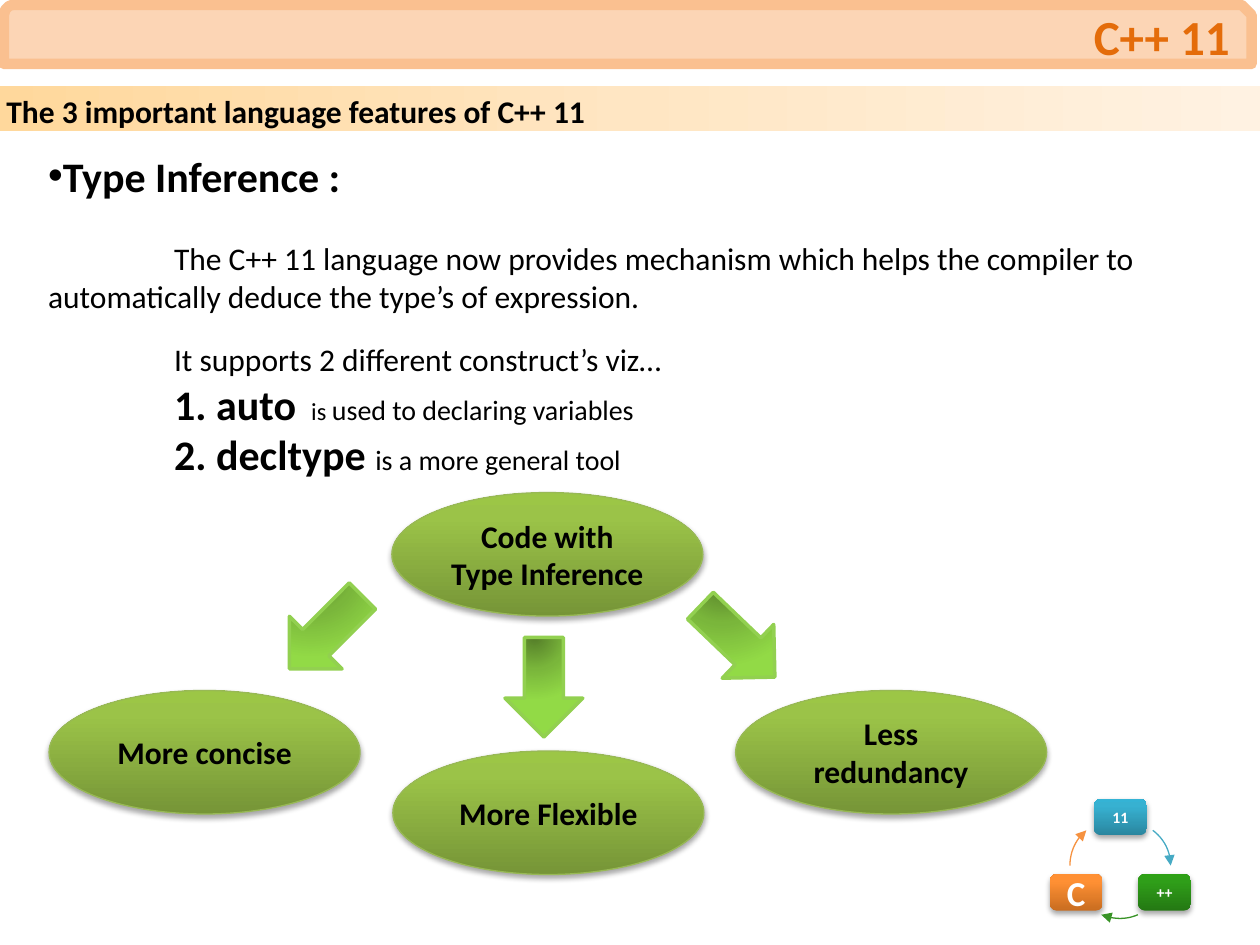
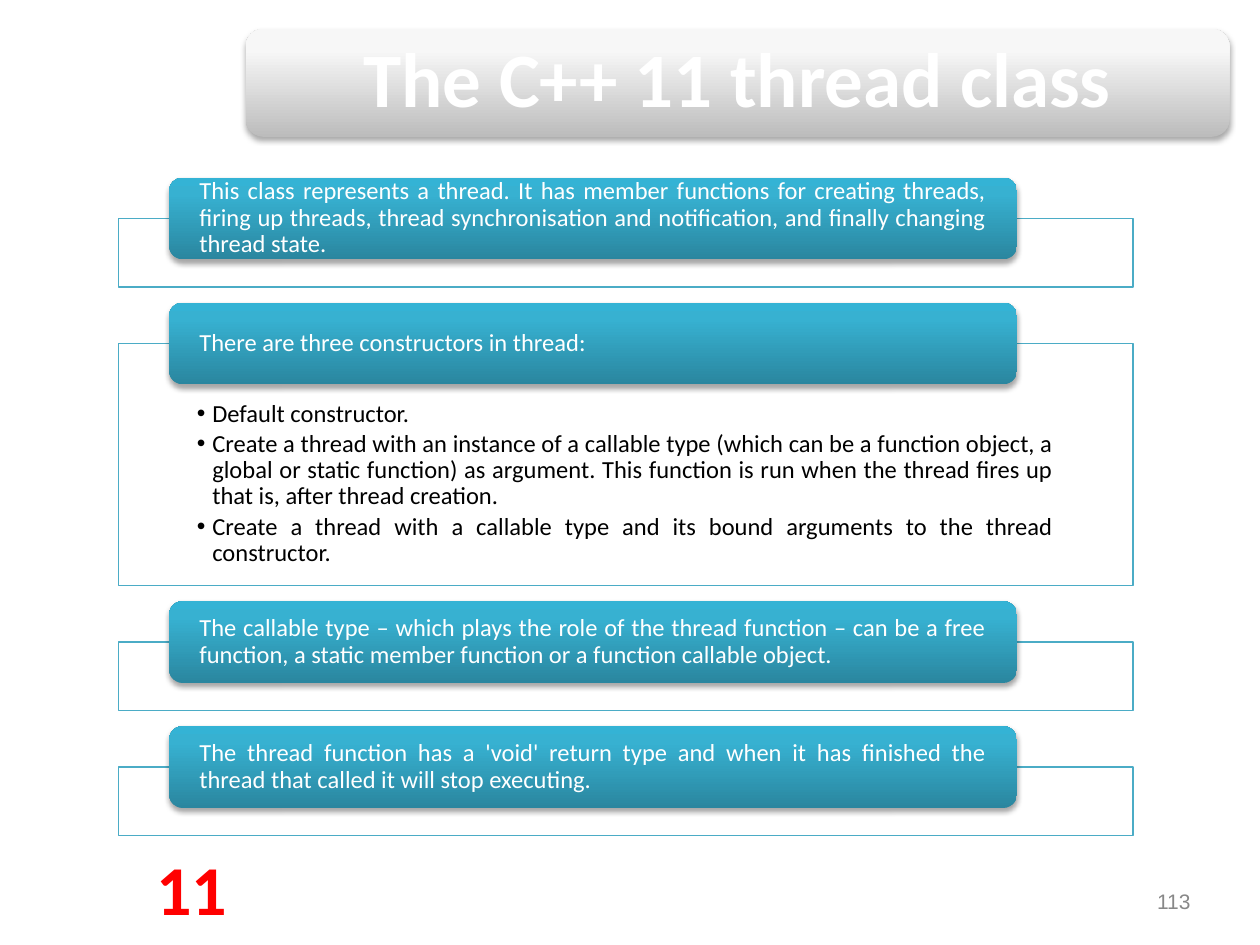
from typing import NamedTuple

from pptx import Presentation
from pptx.dml.color import RGBColor
from pptx.enum.shapes import MSO_SHAPE
from pptx.enum.text import MSO_ANCHOR, MSO_AUTO_SIZE, PP_ALIGN
from pptx.oxml import parse_xml
from pptx.oxml.ns import nsdecls, qn
from pptx.util import Cm, Pt

COLOURS = {
    "black": "000000", "white": "FFFFFF", "red": "FF0000", "grey": "888888",
    "title": "E46C0A", "band": "FCD5B5", "band_edge": "FAC090",
    "ellipse_edge": "98B955", "arrow_edge": "92D050", "frame_edge": "4BACC6",
    "teal_arc": "46AAC4", "green_arc": "389326", "orange_arc": "F69240",
}
GRADIENTS = {
    "strip": ("FFD89C", "FFE6C3", "FFF2E2"),
    "olive": ("769537", "9BC348", "9CC646"),
    "arrow": ("557E29", "7AB63B", "92DA46"),
    "teal": ("2A869F", "37B1D1", "34B3D5"),
    "green": ("247813", "2F9E19", "2EA116"),
    "orange": ("C96D20", "FF9034", "FF9035"),
    "silver": ("BCBCBC", "F7F7F7", "F8F8F8"),
}
RISING = '<a:lin ang="16200000" scaled="0"/>'
SIDEWAYS = '<a:lin ang="0" scaled="0"/>'
RADIAL = ('<a:path path="circle"><a:fillToRect l="38000" t="-20000" '
          'r="62000" b="120000"/></a:path>')
INSET = 0.13


class Box(NamedTuple):
    """Left, top, width and height in centimetres."""
    left: float
    top: float
    width: float
    height: float

    def inner(self, left, top, width, height):
        return Box(self.left + left, self.top + top, width, height)

    def lengths(self):
        return [Cm(value) for value in self]


# Shared helpers
def colour(name):
    return RGBColor.from_string(COLOURS[name])


def set_gradient(shape, name, direction=RISING, middle=80):
    stops = "".join(
        f'<a:gs pos="{position * 1000}"><a:srgbClr val="{value}"/></a:gs>'
        for position, value in zip((0, middle, 100), GRADIENTS[name]))
    shape.fill.solid()
    properties = shape._element.spPr
    properties.replace(properties.find(qn("a:solidFill")), parse_xml(
        f'<a:gradFill rotWithShape="1" {nsdecls("a")}>'
        f'<a:gsLst>{stops}</a:gsLst>{direction}</a:gradFill>'))


def set_line(shape, name=None, width=0.75):
    if name is None:
        shape.line.fill.background()
    else:
        shape.line.color.rgb = colour(name)
        shape.line.width = Pt(width)


def add_shadow(shape):
    shape._element.spPr.find(qn("a:effectLst")).append(parse_xml(
        f'<a:outerShdw {nsdecls("a")} blurRad="40000" dist="23000" '
        'dir="5400000" rotWithShape="0"><a:srgbClr val="000000">'
        '<a:alpha val="35000"/></a:srgbClr></a:outerShdw>'))


def add_preset(page, kind, box, edge=None, width=0.75):
    shape = page.shapes.add_shape(kind, *box.lengths())
    shape.shadow.inherit = False
    set_line(shape, edge, width)
    return shape


def add_glossy(page, kind, box, gradient, edge=None):
    shape = add_preset(page, kind, box, edge)
    set_gradient(shape, gradient)
    add_shadow(shape)
    return shape


def prepare_frame(shape, anchor, side=INSET, end=INSET):
    frame = shape.text_frame
    frame.word_wrap = True
    frame.auto_size = MSO_AUTO_SIZE.NONE
    frame.vertical_anchor = anchor
    frame.margin_left = frame.margin_right = Cm(side)
    frame.margin_top = frame.margin_bottom = Cm(end)
    return frame


def format_font(font, size, name="black", bold=False, face="Calibri"):
    font.size = Pt(size)
    font.bold = bold
    font.name = face
    font.color.rgb = colour(name)


def write(shape, text, size, name="black", bold=False, align=PP_ALIGN.CENTER,
          anchor=MSO_ANCHOR.MIDDLE, side=INSET, end=INSET, spacing=1.0,
          face="Calibri"):
    frame = prepare_frame(shape, anchor, side, end)
    frame.text = text
    para = frame.paragraphs[0]
    para.alignment = align
    para.line_spacing = spacing
    para.space_before = Pt(0)
    format_font(para.runs[0].font, size, name, bold, face)


def set_indent(para, margin=0, first=0, bullet=None):
    properties = para._p.get_or_add_pPr()
    properties.set("marL", str(Cm(margin)))
    properties.set("indent", str(Cm(first)))
    mark = f'buChar {nsdecls("a")} char="{bullet}"' if bullet else f'buNone {nsdecls("a")}'
    properties.append(parse_xml(f"<a:{mark}/>"))


def place(placeholder, box):
    """Move a placeholder into its box and in front of the shapes so far."""
    placeholder.left, placeholder.top, placeholder.width, placeholder.height = box.lengths()
    element = placeholder._element
    element.getparent().append(element)
    return placeholder


def add_label(page, box, text, size, name, **style):
    write(page.shapes.add_textbox(*box.lengths()), text, size, name, **style)


# Type inference slide
def add_heading(page, box):
    strip = add_preset(page, MSO_SHAPE.RECTANGLE, box.inner(0, 1.73, box.width, 0.91))
    set_gradient(strip, "strip", SIDEWAYS, 50)
    write(strip, "The 3 important language features of C++ 11", 18, bold=True,
          align=PP_ALIGN.LEFT, anchor=MSO_ANCHOR.TOP)
    band = add_preset(page, MSO_SHAPE.SNIP_ROUND_RECTANGLE,
                      box.inner(0.08, 0.1, 25.15, 1.19), "band_edge", 6)
    band.fill.solid()
    band.fill.fore_color.rgb = colour("band")
    title = place(page.shapes.title, box.inner(0.38, 0.1, 24.54, 1.24))
    write(title, "C++ 11", 28, "title", True, PP_ALIGN.RIGHT)


def add_explanation(page, box):
    # Each paragraph: space before, then (text, size, bold) spans
    paragraphs = [
        (0, [("Type Inference :", 24, True)]),
        (22, [("The C++ 11 language now provides mechanism which helps the compiler "
               "to automatically deduce the type’s of expression.", 18, False)]),
        (14.6, [("It supports 2 different construct’s viz…", 18, False)]),
        (0, [("1. auto ", 24, True), (" is ", 14, False),
             ("used to declaring variables", 16, False)]),
        (0, [("2. decltype ", 24, True), ("is a more general tool", 16, False)]),
    ]
    frame = prepare_frame(place(page.placeholders[1], box), MSO_ANCHOR.TOP)
    for index, (before, spans) in enumerate(paragraphs):
        para = frame.add_paragraph() if index else frame.paragraphs[0]
        if index:
            set_indent(para, first=2.54)
        else:
            set_indent(para, bullet="•")
        para.space_before = Pt(before)
        for text, size, bold in spans:
            span = para.add_run()
            span.text = text
            format_font(span.font, size, bold=bold)


def add_benefits(page, box):
    ellipses = [("Code with Type Inference", 6.91, 0), ("More concise", 0, 3.99),
                ("More Flexible", 6.93, 5.21), ("Less redundancy", 13.84, 3.99)]
    for text, left, top in ellipses:
        ellipse = add_glossy(page, MSO_SHAPE.OVAL, box.inner(left, top, 6.27, 2.49),
                             "olive", "ellipse_edge")
        write(ellipse, text, 18, bold=True, side=0.25, end=0)
    arrows = [(4.83, 1.78, 1.5, 2.08, 45), (9.19, 2.92, 1.57, 2.01, 0),
              (13.13, 1.96, 1.5, 2.08, 313.8)]
    for left, top, width, height, angle in arrows:
        arrow = add_preset(page, MSO_SHAPE.DOWN_ARROW,
                           box.inner(left, top, width, height), "arrow_edge", 2)
        set_gradient(arrow, "arrow", RADIAL, 50)
        arrow.rotation = angle


def curve_points(box, controls, steps=12):
    for step in range(steps + 1):
        t = step / steps
        weights = ((1 - t) ** 3, 3 * t * (1 - t) ** 2, 3 * t * t * (1 - t), t ** 3)
        x, y = (sum(w * c for w, c in zip(weights, axis)) for axis in zip(*controls))
        yield Cm(box.left + x), Cm(box.top + y)


def add_cycle(page, box):
    nodes = [("11", 9, "teal", 0.89, 0), ("++", 9, "green", 1.78, 1.52),
             ("C", 20, "orange", 0, 1.52)]
    for text, size, gradient, left, top in nodes:
        node = add_glossy(page, MSO_SHAPE.ROUNDED_RECTANGLE,
                          box.inner(left, top, 1.07, 0.74), gradient)
        node.adjustments[0] = 0.2
        write(node, text, size, "white", True, side=0, end=0)
    arcs = [("teal_arc", [(2.08, 0.64), (2.31, 0.81), (2.44, 1.07), (2.44, 1.35)]),
            ("green_arc", [(1.78, 2.34), (1.55, 2.44), (1.3, 2.44), (1.04, 2.34)]),
            ("orange_arc", [(0.41, 1.35), (0.41, 1.07), (0.53, 0.81), (0.74, 0.64)])]
    for name, controls in arcs:
        start, *points = curve_points(box, controls)
        builder = page.shapes.build_freeform(*start)
        builder.add_line_segments(points, close=False)
        arc = builder.convert_to_shape()
        arc.shadow.inherit = False
        arc.fill.background()
        set_line(arc, name)
        arc.line._get_or_add_ln().append(
            parse_xml(f'<a:tailEnd {nsdecls("a")} type="triangle"/>'))


# Thread class slide
def add_thread_title(page, box):
    add_glossy(page, MSO_SHAPE.ROUNDED_RECTANGLE, box, "silver")
    write(place(page.shapes.title, box), "The C++ 11 thread class", 44, "white", True,
          side=0.46, end=0, spacing=0.9)


def add_constructors(page, box):
    items = [
        "Default constructor.",
        "Create a thread with an instance of a callable type (which can be a function "
        "object, a global or static function) as argument. This function is run when "
        "the thread fires up that is, after thread creation.",
        "Create a thread with a callable type and its bound arguments to the thread "
        "constructor.",
    ]
    frame = prepare_frame(place(page.placeholders[1], box), MSO_ANCHOR.TOP, 0.28, 0.28)
    frame.text = "\n".join(items)
    for index, para in enumerate(frame.paragraphs):
        set_indent(para, 0.31, -0.31, "•")
        para.alignment = PP_ALIGN.JUSTIFY
        para.line_spacing = 0.9
        para.space_before = Pt(2 if index else 0)
        format_font(para.runs[0].font, 14)


def add_thread_facts(page, box):
    short, tall, overlap, gap = 1.39, 4.89, 0.82, 0.31
    facts = [
        ("This class represents a thread. It has member functions for creating threads, "
         "firing up threads, thread synchronisation and notification, and finally "
         "changing thread state.", short),
        ("There are three constructors in thread:", tall),
        ("The callable type – which plays the role of the thread function – can be a "
         "free function, a static member function or a function callable object.", short),
        ("The thread function has a 'void' return type and when it has finished the "
         "thread that called it will stop executing.", short),
    ]
    top = 0
    for text, height in facts:
        panel = add_preset(page, MSO_SHAPE.RECTANGLE,
                           box.inner(0, top + overlap, box.width, height), "frame_edge")
        panel.fill.solid()
        panel.fill.fore_color.rgb = colour("white")
        bar = add_glossy(page, MSO_SHAPE.ROUNDED_RECTANGLE,
                         box.inner(1.02, top, 17.09, 1.65), "teal")
        write(bar, text, 14, "white", align=PP_ALIGN.JUSTIFY, side=0.53, end=0,
              spacing=0.9)
        if height == tall:
            add_constructors(page, box.inner(1.3, top + 1.7, 17.83, 4.17))
        top += overlap + height + gap


def add_footer(page, box):
    add_label(page, box.inner(3, 0, 1.73, 1.68), "11", 40, "red", bold=True,
              anchor=MSO_ANCHOR.TOP)
    add_label(page, box.inner(21.6, 0.91, 2.53, 0.69), "113", 12, "grey",
              align=PP_ALIGN.RIGHT, face="Arial")


def main():
    deck = Presentation()
    deck.slide_width, deck.slide_height = Cm(25.4), Cm(19.05)
    layout = deck.slide_layouts[1]

    page = deck.slides.add_slide(layout)
    add_heading(page, Box(0, 0, 25.4, 2.64))
    add_explanation(page, Box(0.84, 2.9, 23.14, 6.91))
    add_benefits(page, Box(0.99, 9.93, 20.11, 7.7))
    add_cycle(page, Box(21.16, 16.1, 2.85, 2.44))

    page = deck.slides.add_slide(layout)
    add_thread_title(page, Box(4.95, 0.58, 19.84, 2.18))
    add_thread_facts(page, Box(2.39, 3.58, 20.45, 13.28))
    add_footer(page, Box(0, 16.92, 25.4, 1.68))

    deck.save("out.pptx")


if __name__ == "__main__":
    main()
